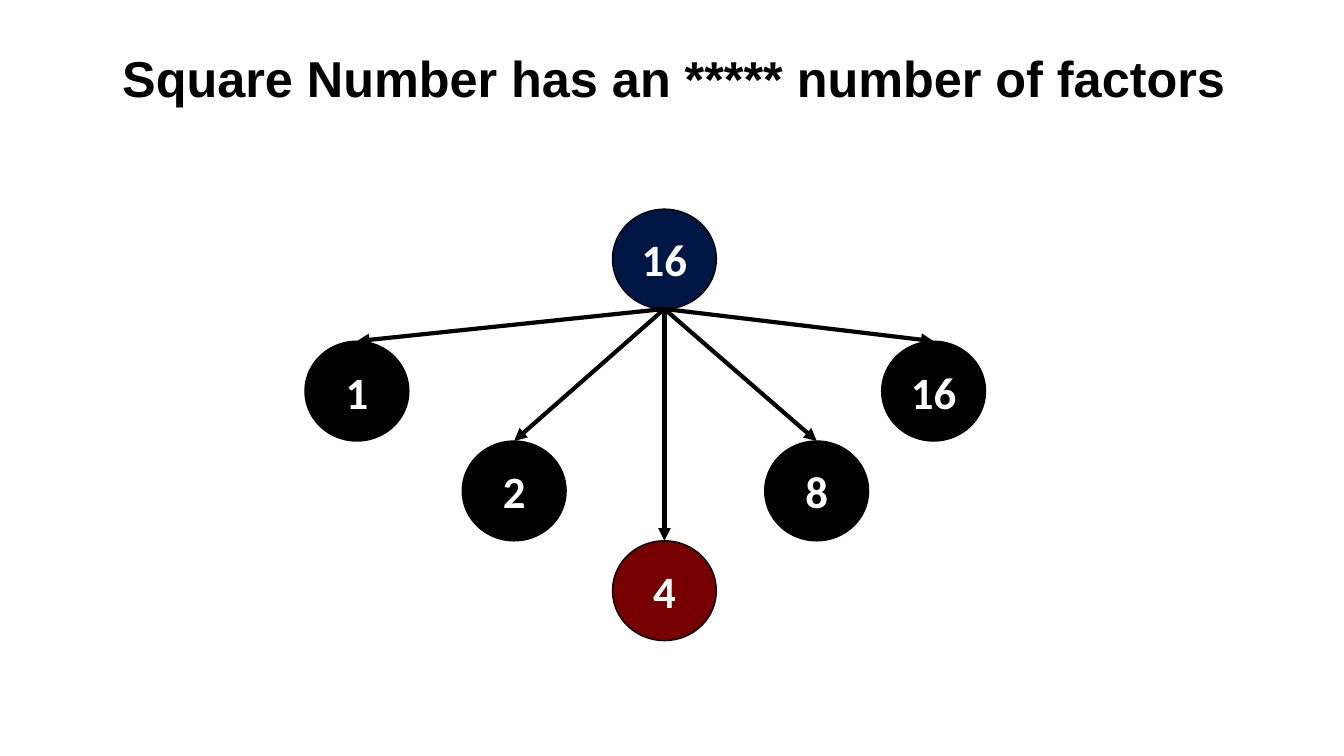
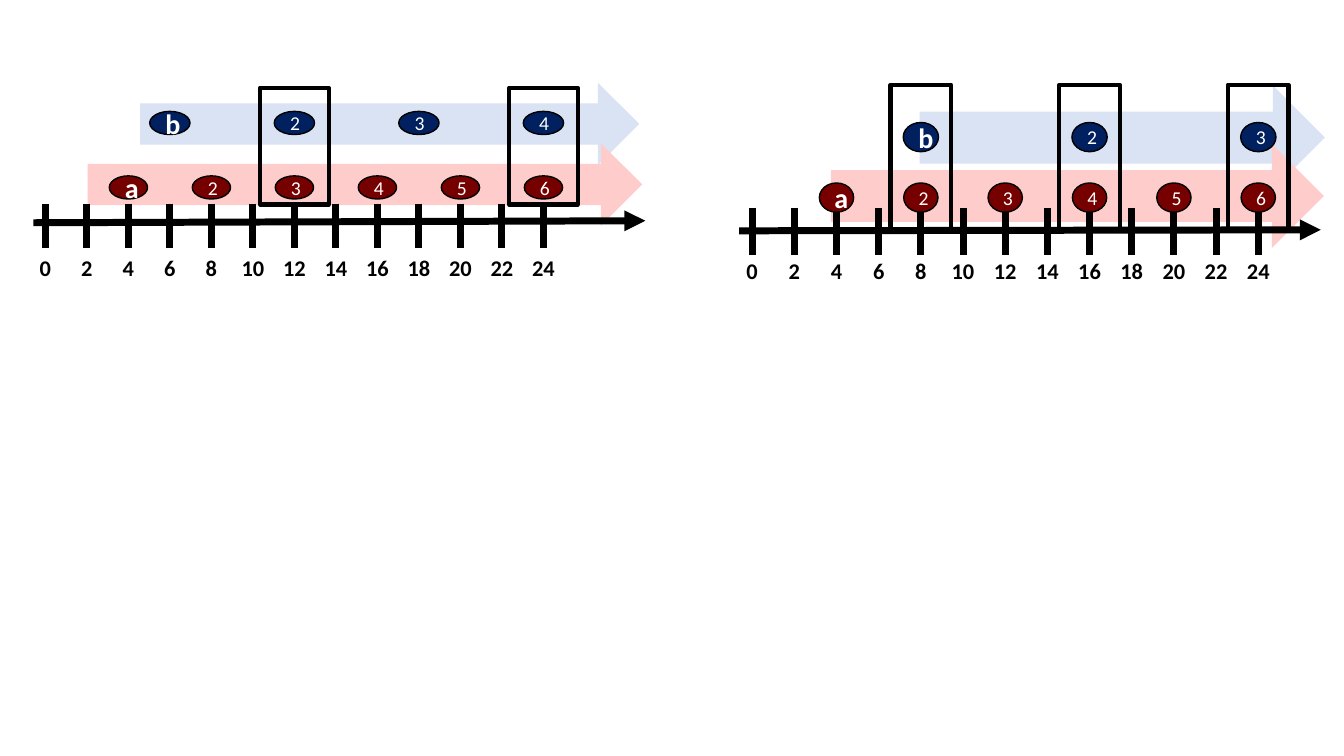
"""Build two slides on the factors of a square number and on common multiples."""
from math import lcm

from lxml.etree import SubElement
from pptx import Presentation
from pptx.dml.color import RGBColor
from pptx.enum.shapes import MSO_CONNECTOR, MSO_SHAPE
from pptx.enum.text import MSO_ANCHOR, PP_ALIGN
from pptx.oxml.ns import qn
from pptx.util import Inches, Pt

BLACK, WHITE = "000000", "FFFFFF"
NAVY, BLUE, RED = "001746", "002060", "760000"
PALE_BLUE, PALE_RED = "DAE3F3", "FFCCCC"

TITLE = {"name": "Arial", "size": Pt(36), "bold": True, "color": BLACK}
FACTOR = {"name": "Calibri", "size": Pt(32), "bold": True, "color": WHITE}
LABEL = {"name": "Calibri", "size": Pt(16), "bold": True, "color": BLACK}
LETTER = {"name": "Calibri", "size": Pt(20), "bold": True, "color": WHITE}
COUNT = {"name": "Calibri", "size": Pt(14), "bold": False, "color": WHITE}


def rgb(value):
    """Return the colour for a hex string."""
    return RGBColor.from_string(value)


class Painter:
    """Hold the deck and the current drawing surface."""

    def __init__(self):
        """Start a wide deck."""
        self.deck = Presentation()
        self.deck.slide_width, self.deck.slide_height = Inches(13.33), Inches(7.5)
        self.page = self.shapes = None

    def new_page(self):
        """Add a blank page."""
        self.page = self.deck.slides.add_slide(self.deck.slide_layouts[6])
        self.shapes = self.page.shapes

    def new_group(self):
        """Send the next elements to a new group."""
        self.shapes = self.page.shapes.add_group_shape().shapes

    def fill_text(self, frame, text, style):
        """Put one centred, styled line into a text frame."""
        frame.word_wrap = True
        para = frame.paragraphs[0]
        para.alignment = PP_ALIGN.CENTER
        span = para.add_run()
        span.text = text
        for key, value in style.items():
            if key == "color":
                span.font.color.rgb = rgb(value)
            else:
                setattr(span.font, key, value)

    def text(self, place, text, style):
        """Add a text box."""
        box = self.shapes.add_textbox(*map(Inches, place))
        self.fill_text(box.text_frame, text, style)

    def shape(self, kind, place, fill=None, width=None):
        """Add a preset shape with optional fill and outline."""
        shape = self.shapes.add_shape(kind, *map(Inches, place))
        shape.shadow.inherit = False
        if fill:
            shape.fill.solid()
            shape.fill.fore_color.rgb = rgb(fill)
        else:
            shape.fill.background()
        if width:
            shape.line.color.rgb = rgb(BLACK)
            shape.line.width = Pt(width)
        else:
            shape.line.fill.background()
        return shape

    def oval(self, center, size, fill, text, style):
        """Add a labelled ellipse around a centre point."""
        (x, y), (width, height) = center, size
        place = (x - width / 2, y - height / 2, width, height)
        oval = self.shape(MSO_SHAPE.OVAL, place, fill, 1)
        oval.text_frame.vertical_anchor = MSO_ANCHOR.MIDDLE
        self.fill_text(oval.text_frame, text, style)

    def line(self, start, end, width, arrow=False):
        """Add a straight line, with an arrowhead if wanted."""
        line = self.shapes.add_connector(MSO_CONNECTOR.STRAIGHT, *map(Inches, (*start, *end)))
        line.line.color.rgb = rgb(BLACK)
        line.line.width = Pt(width)
        properties = line._element.spPr
        if arrow:
            SubElement(properties.find(qn("a:ln")), qn("a:tailEnd"), type="triangle")
        SubElement(properties, qn("a:effectLst"))

    def number_line(self, first, last, axis, tick_top, tick_height, label_top,
                    rows, frame_top, frame_size):
        """Draw the multiples of two numbers along an axis and frame the common ones."""
        self.new_group()

        def place_of(number):
            """Return the distance of a number from the left edge."""
            return first + (last - first) * number / 24

        for row in rows:
            self.shape(MSO_SHAPE.RIGHT_ARROW, row["band"], row["pale"])
        self.line(*axis, 5, arrow=True)
        for number in range(0, 25, 2):
            x = place_of(number)
            self.line((x, tick_top), (x, tick_top + tick_height), 5)
            self.text((x - 0.28, label_top, 0.56, 0.32), str(number), LABEL)
        for row in rows:
            for count in range(1, 24 // row["step"] + 1):
                text, style = (row["letter"], LETTER) if count == 1 else (str(count), COUNT)
                center = (place_of(count * row["step"]), row["y"])
                self.oval(center, row["size"], row["fill"], text, style)
        common = lcm(*(row["step"] for row in rows))
        for number in range(common, 25, common):
            place = (place_of(number) - frame_size[0] / 2, frame_top, *frame_size)
            self.shape(MSO_SHAPE.RECTANGLE, place, width=3)


painter = Painter()

painter.new_page()
painter.text((0.79, 0.42, 11.79, 0.71), "Square Number has an ***** number of factors", TITLE)
ROOT, CIRCLE = (6.59, 2.57), (1.03, 0.99)
FACTORS = [("16", 9.26, 3.88, BLACK), ("1", 3.54, 3.88, BLACK), ("2", 5.1, 4.87, BLACK),
           ("8", 8.1, 4.87, BLACK), ("4", 6.59, 5.86, RED)]
painter.oval(ROOT, CIRCLE, NAVY, "16", FACTOR)
for number, x, y, fill in FACTORS:
    painter.oval((x, y), CIRCLE, fill, number, FACTOR)
radius = CIRCLE[1] / 2
for number, x, y, fill in FACTORS:
    painter.line((ROOT[0], ROOT[1] + radius), (x, y - radius), 3, arrow=True)

painter.new_page()
ROW_A = {"letter": "a", "step": 4, "pale": PALE_RED, "fill": RED}
ROW_B = {"letter": "b", "pale": PALE_BLUE, "fill": BLUE}
painter.number_line(
    first=7.46, last=12.48, axis=((7.33, 2.29), (13.1, 2.28)),
    tick_top=2.06, tick_height=0.47, label_top=2.5,
    rows=[
        {**ROW_B, "step": 8, "band": (9.12, 0.85, 4.02, 1.03), "y": 1.36, "size": (0.35, 0.29)},
        {**ROW_A, "band": (8.24, 1.43, 4.89, 1.03), "y": 1.96, "size": (0.34, 0.29)},
    ],
    frame_top=0.84, frame_size=(0.6, 1.45))
painter.number_line(
    first=0.45, last=5.39, axis=((0.33, 2.21), (6.4, 2.19)),
    tick_top=2.02, tick_height=0.44, label_top=2.47,
    rows=[
        {**ROW_B, "step": 6, "band": (1.39, 0.82, 4.95, 0.82), "y": 1.22, "size": (0.4, 0.23)},
        {**ROW_A, "band": (0.87, 1.42, 5.5, 0.82), "y": 1.86, "size": (0.38, 0.23)},
    ],
    frame_top=0.87, frame_size=(0.68, 1.16))

painter.deck.save("out.pptx")
